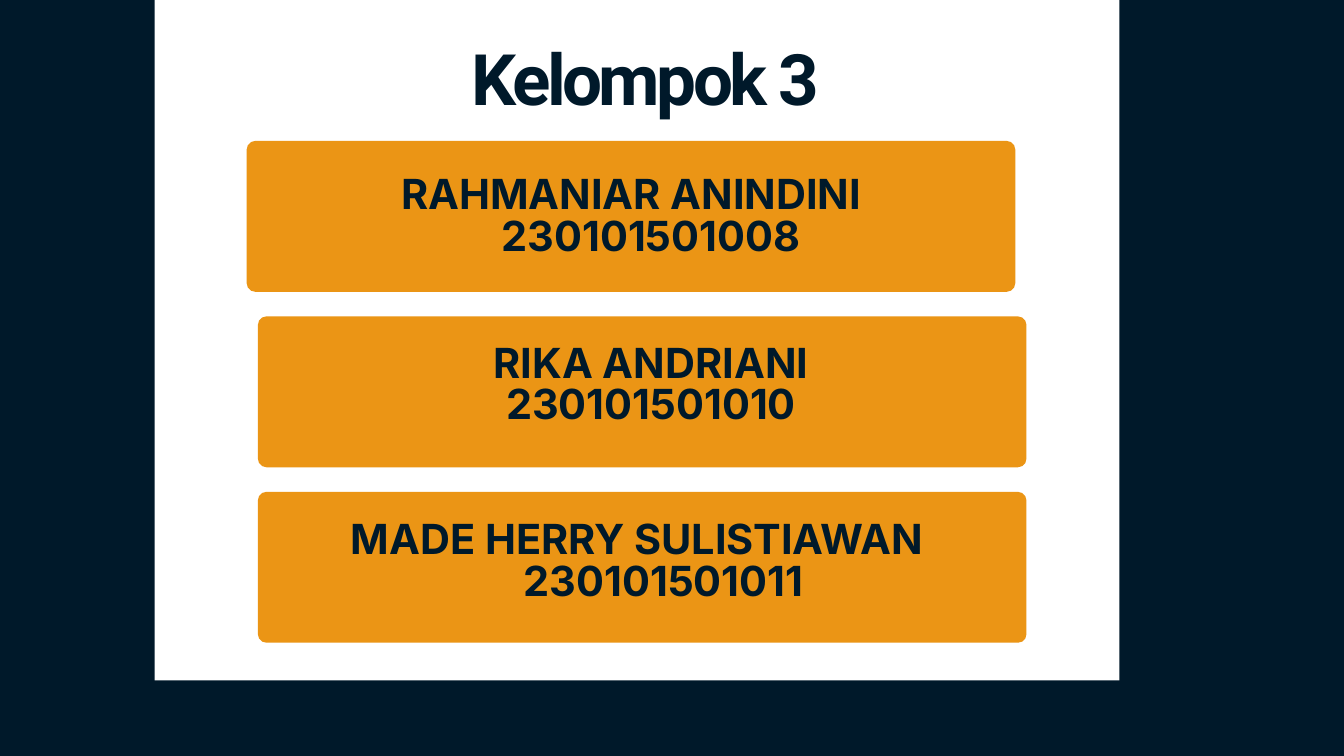
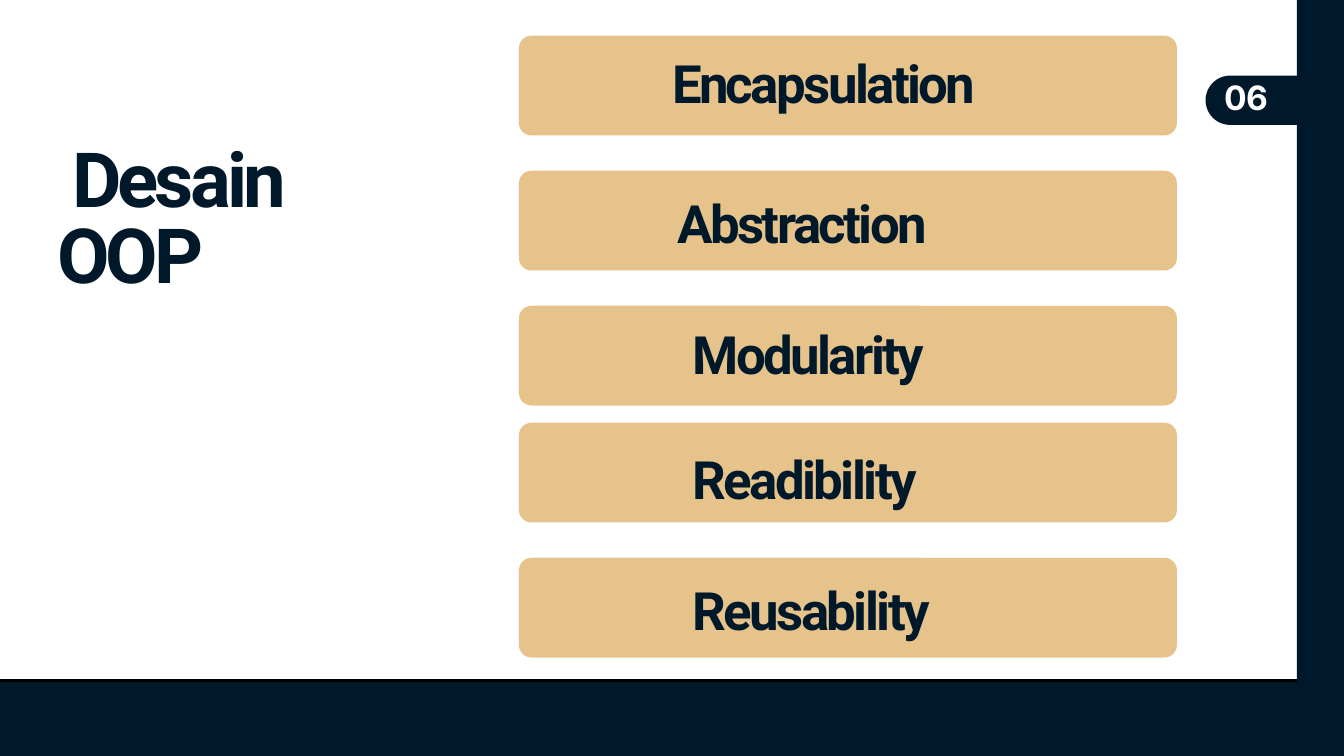
from pptx import Presentation
from pptx.dml.color import RGBColor
from pptx.enum.shapes import MSO_SHAPE
from pptx.enum.text import MSO_ANCHOR, MSO_AUTO_SIZE, PP_ALIGN
from pptx.util import Pt

NAVY = RGBColor(0x00, 0x19, 0x2A)
BLACK = RGBColor(0x00, 0x00, 0x00)
WHITE = RGBColor(0xFF, 0xFF, 0xFF)
ORANGE = RGBColor(0xEB, 0x95, 0x15)
SAND = RGBColor(0xE7, 0xC3, 0x8C)
HEAD, BODY = "Roboto", "Inter"
LEFT, CENTER, RIGHT = PP_ALIGN.LEFT, PP_ALIGN.CENTER, PP_ALIGN.RIGHT


class Deck:
    """Shared style and the slide being built; all lengths are in points."""

    def __init__(self):
        self.prs = Presentation()
        self.prs.slide_width, self.prs.slide_height = Pt(1440), Pt(810)
        self.s = None

    def slide(self):
        self.s = self.prs.slides.add_slide(self.prs.slide_layouts[5])

    def panel(self, x, y, w, h, radius, color, line=None):
        sp = self.s.shapes.add_shape(MSO_SHAPE.ROUNDED_RECTANGLE, Pt(x), Pt(y), Pt(w), Pt(h))
        sp.adjustments[0] = radius / min(w, h)
        sp.shadow.inherit = False
        sp.fill.solid()
        sp.fill.fore_color.rgb = color
        if line:
            sp.line.color.rgb = line
            sp.line.width = Pt(3)
        else:
            sp.line.fill.background()

    def fill_frame(self, tf, lines, size, font, color=NAVY, spacing=0):
        """Fill a frame with (text, alignment) lines set solid."""
        tf.word_wrap = True
        tf.auto_size = MSO_AUTO_SIZE.NONE
        tf.vertical_anchor = MSO_ANCHOR.TOP
        tf.margin_left = tf.margin_top = tf.margin_right = tf.margin_bottom = 0
        for i, (text, align) in enumerate(lines):
            p = tf.add_paragraph() if i else tf.paragraphs[0]
            p.text = text
            p.alignment = align
            p.line_spacing = Pt(size)
            p.font.size, p.font.name, p.font.bold = Pt(size), font, True
            p.font.color.rgb = color
            if spacing:
                for r in p.runs:
                    r._r.get_or_add_rPr().set("spc", str(round(spacing * 100)))

    def text(self, x, y, w, h, lines, size, font, color=NAVY, spacing=0):
        sp = self.s.shapes.add_textbox(Pt(x), Pt(y), Pt(w), Pt(h))
        self.fill_frame(sp.text_frame, lines, size, font, color, spacing)

    def title(self, x, y, w, h, text, size, spacing, indent=0):
        sp = self.s.shapes.title
        sp.left, sp.top, sp.width, sp.height = Pt(x), Pt(y), Pt(w), Pt(h)
        self.fill_frame(sp.text_frame, [(text, LEFT)], size, HEAD, spacing=spacing)
        if indent:
            pPr = sp.text_frame.paragraphs[0]._p.get_or_add_pPr()
            pPr.set("marL", "0")
            pPr.set("indent", str(Pt(indent)))


def members(deck):
    deck.slide()
    # Frame
    deck.panel(-137.5, 729, 1367.5, 192.5, 7, NAVY)
    for x, y in ((1199.3, -147), (-75.4, -172)):
        deck.panel(x, y, 241, 1022.4, 38.5, NAVY)
    deck.title(505.5, 52, 399, 80, "Kelompok 3", 76, -3.8)
    # Member cards
    cards = (
        (264.3, 429.8, 189.4, 535.7, "RAHMANIAR ANINDINI", LEFT, "230101501008"),
        (276.3, 429.8, 370, 535.7, "RIKA ANDRIANI", CENTER, "230101501010"),
        (276.3, 375.8, 558.7, 670.3, "MADE HERRY SULISTIAWAN", LEFT, "230101501011"),
    )
    for i, (x, text_x, text_y, text_w, name, align, number) in enumerate(cards):
        deck.panel(x, 151 + 188 * i, 823.5, 161.7, 9.2, ORANGE)
        deck.text(text_x, text_y, text_w, 91, [(name, align), (number, CENTER)], 44.4, BODY)


def design(deck):
    deck.slide()
    # Frame and page number
    deck.panel(-129.6, 729, 1743.8, 192.5, 5.5, NAVY, BLACK)
    deck.panel(1389.6, -212.4, 115, 1022.4, 57.5, NAVY)
    deck.panel(1291.7, 81, 233.3, 52.8, 26.4, NAVY)
    deck.text(1291.7, 90, 67, 39, [("06", RIGHT)], 36, BODY, WHITE, -1.4)
    deck.title(61.2, 157, 318.2, 167, "Desain OOP", 81.5, -4.1, indent=16)
    # Principle cards
    principles = (
        (38.2, 720, 66.2, "Encapsulation"),
        (182.9, 725.8, 216, "Abstraction"),
        (327.6, 742.3, 355.7, "Modularity"),
        (452.9, 742.3, 490.3, "Readibility"),
        (597.6, 742.3, 630, "Reusability"),
    )
    for y, text_x, text_y, name in principles:
        deck.panel(556, y, 705, 106.9, 13.4, SAND)
        deck.text(text_x, text_y, 400, 59, [(name, LEFT)], 56.5, HEAD, spacing=-2.8)


def main():
    deck = Deck()
    members(deck)
    design(deck)
    deck.prs.save("out.pptx")


if __name__ == "__main__":
    main()
